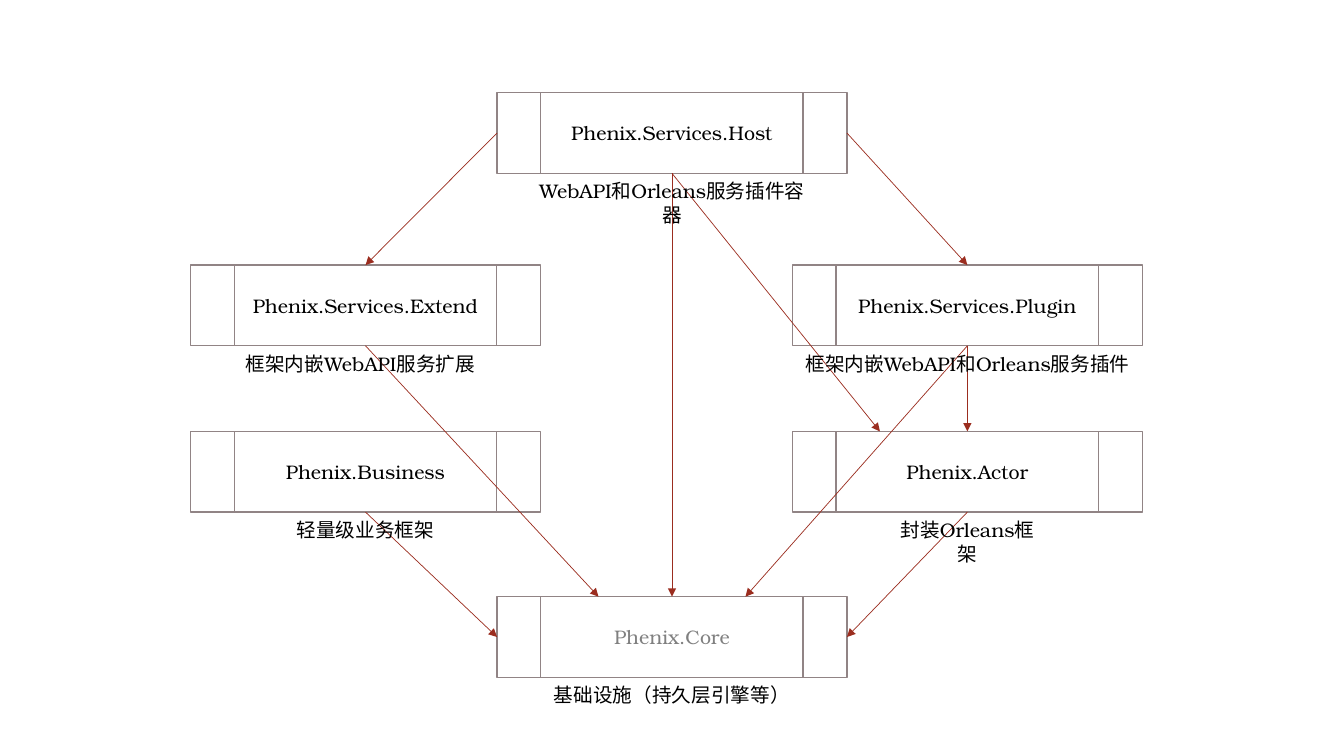
from lxml.etree import SubElement
from pptx import Presentation
from pptx.dml.color import RGBColor
from pptx.enum.shapes import MSO_CONNECTOR, MSO_SHAPE
from pptx.enum.text import MSO_ANCHOR, PP_ALIGN
from pptx.oxml.ns import qn
from pptx.util import Emu, Pt

PX = 9144  # one px is a hundredth of an inch
BOX_W, BOX_H = 347, 80
LEFT, MIDDLE, RIGHT = 189, 493, 786
FONT = {"name": "TeX Gyre Bonum", "size": Pt(14)}

# name: left, top, text colour
MODULES = {
    "Phenix.Services.Host": (MIDDLE, 92, "000000"),
    "Phenix.Services.Extend": (LEFT, 263, "000000"),
    "Phenix.Services.Plugin": (RIGHT, 263, "000000"),
    "Phenix.Business": (LEFT, 428, "000000"),
    "Phenix.Actor": (RIGHT, 428, "000000"),
    "Phenix.Core": (MIDDLE, 592, "808080"),
}

# module, text, width, shift from the module's centre
CAPTIONS = [
    ("Phenix.Services.Host", "WebAPI和Orleans服务插件容器", 301, 0),
    ("Phenix.Services.Extend", "框架内嵌WebAPI服务扩展", 250, -5),
    ("Phenix.Services.Plugin", "框架内嵌WebAPI和Orleans服务插件", 342, 0),
    ("Phenix.Business", "轻量级业务框架", 158, 0),
    ("Phenix.Actor", "封装Orleans框架", 170, 0),
    ("Phenix.Core", "基础设施（持久层引擎等）", 256, 0),
]

# Points on a module, as shares of its width and height
TOP, BOTTOM = (0.5, 0), (0.5, 1)
WEST, EAST = (0, 0.5), (1, 0.5)
TOP_QUARTER, TOP_LEFT, TOP_RIGHT = (0.25, 0), (0.29, 0), (0.71, 0)

DEPENDENCIES = [
    ("Phenix.Services.Host", BOTTOM, "Phenix.Core", TOP),
    ("Phenix.Services.Host", WEST, "Phenix.Services.Extend", TOP),
    ("Phenix.Services.Host", BOTTOM, "Phenix.Actor", TOP_QUARTER),
    ("Phenix.Services.Host", EAST, "Phenix.Services.Plugin", TOP),
    ("Phenix.Services.Extend", BOTTOM, "Phenix.Core", TOP_LEFT),
    ("Phenix.Business", BOTTOM, "Phenix.Core", WEST),
    ("Phenix.Services.Plugin", BOTTOM, "Phenix.Core", TOP_RIGHT),
    ("Phenix.Services.Plugin", BOTTOM, "Phenix.Actor", TOP),
    ("Phenix.Actor", BOTTOM, "Phenix.Core", EAST),
]


def px(*lengths):
    return [Emu(round(length * PX)) for length in lengths]


def rgb(code):
    return RGBColor.from_string(code)


def write(frame, text, color, anchor):
    frame.word_wrap = True
    frame.vertical_anchor = anchor
    paragraph = frame.paragraphs[0]
    paragraph.alignment = PP_ALIGN.CENTER
    run = paragraph.add_run()
    run.text = text
    for key, value in FONT.items():
        setattr(run.font, key, value)
    run.font.color.rgb = rgb(color)


def style_line(line, color, width):
    line.color.rgb = rgb(color)
    line.width = Pt(width)


def add_module(slide, name):
    left, top, color = MODULES[name]
    module = slide.shapes.add_shape(
        MSO_SHAPE.FLOWCHART_PREDEFINED_PROCESS, *px(left, top, BOX_W, BOX_H))
    module.shadow.inherit = False
    module.fill.solid()
    module.fill.fore_color.rgb = rgb("FFFFFF")
    style_line(module.line, "918485", 1)
    write(module.text_frame, name, color, MSO_ANCHOR.MIDDLE)


def point_on(name, site):
    left, top, _ = MODULES[name]
    return px(left + site[0] * BOX_W, top + site[1] * BOX_H)


def add_dependency(slide, user, start, used, end):
    arrow = slide.shapes.add_connector(
        MSO_CONNECTOR.STRAIGHT, *point_on(user, start), *point_on(used, end))
    style_line(arrow.line, "9B2D1F", 0.5)
    SubElement(arrow.line._get_or_add_ln(), qn("a:tailEnd"), type="triangle")
    SubElement(arrow._element.spPr, qn("a:effectLst"))


def add_caption(slide, name, text, width, shift):
    left, top, _ = MODULES[name]
    caption_left = left + (BOX_W - width) / 2 + shift
    caption = slide.shapes.add_textbox(
        *px(caption_left, top + BOX_H + 1, width, 34))
    write(caption.text_frame, text, "000000", MSO_ANCHOR.TOP)


def main():
    deck = Presentation()
    deck.slide_width, deck.slide_height = px(1333, 750)
    slide = deck.slides.add_slide(deck.slide_layouts[6])

    # Modules
    for name in MODULES:
        add_module(slide, name)

    # Arrows from each module to those it uses
    for dependency in DEPENDENCIES:
        add_dependency(slide, *dependency)

    # Captions below the modules
    for caption in CAPTIONS:
        add_caption(slide, *caption)

    deck.save("out.pptx")


if __name__ == "__main__":
    main()
